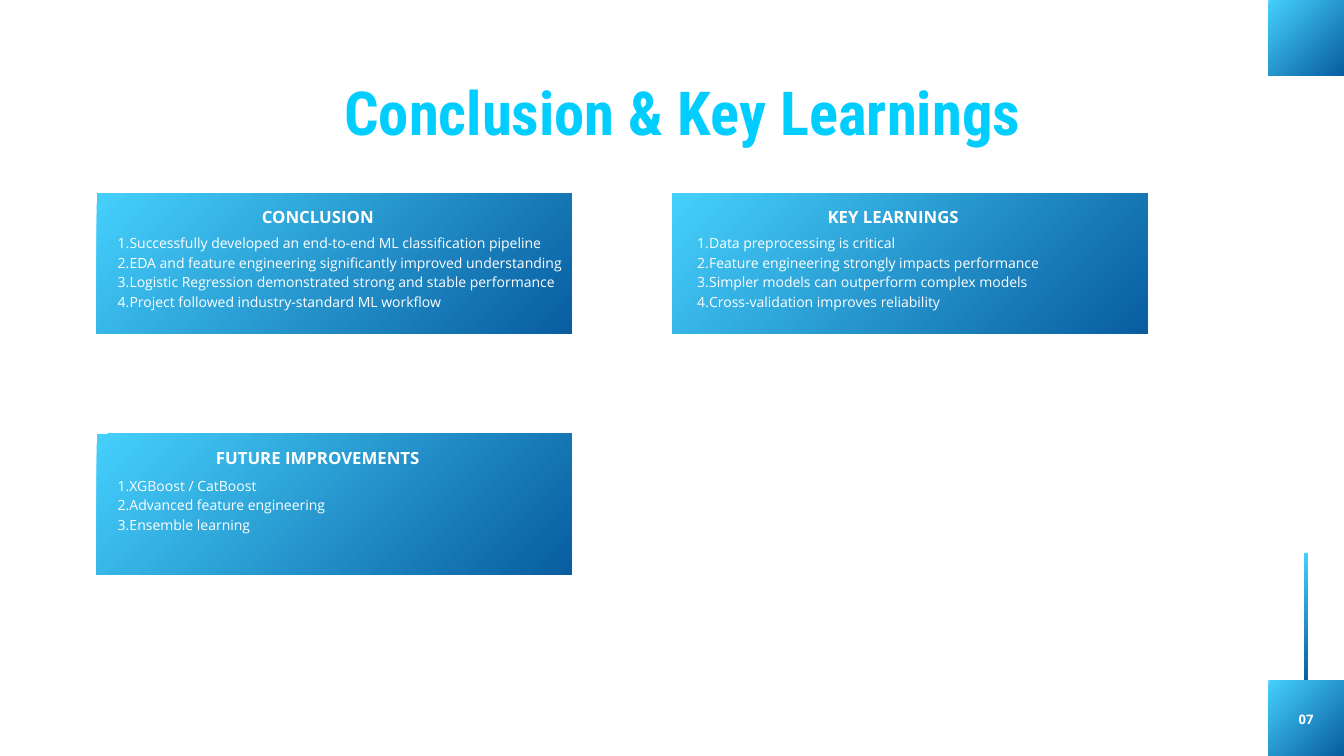
import pptx
import pptx.dml.color
import pptx.enum.shapes
import pptx.enum.text
import pptx.oxml.ns
import pptx.util
import lxml.etree

PX = 9525  # EMU per px, 96 px to the inch
COLORS = {"title": "02CDFF", "text": "FFFFFF", "light": "45D0FC", "dark": "085DA0"}
BODY, HEAD = "Open Sans", "Roboto Condensed"
ALIGN = pptx.enum.text.PP_ALIGN

# Card origin, heading, list inset (left, top, width), items
CARDS = [
    ((138, 276), "CONCLUSION", (13, 55, 653), [
        "Successfully developed an end-to-end ML classification pipeline",
        "EDA and feature engineering significantly improved understanding",
        "Logistic Regression demonstrated strong and stable performance",
        "Project followed industry-standard ML workflow",
    ]),
    ((960, 276), "KEY LEARNINGS", (19, 55, 506), [
        "Data preprocessing is critical",
        "Feature engineering strongly impacts performance",
        "Simpler models can outperform complex models",
        "Cross-validation improves reliability",
    ]),
    ((138, 620), "FUTURE IMPROVEMENTS", (13, 58, 314), [
        "XGBoost / CatBoost",
        "Advanced feature engineering",
        "Ensemble learning",
    ]),
]


def emu(*sizes):
    return [pptx.util.Emu(size * PX) for size in sizes]


def rgb(name):
    return pptx.dml.color.RGBColor.from_string(COLORS[name])


def panel(slide, *box):
    kind = pptx.enum.shapes.MSO_SHAPE.RECTANGLE
    shape = slide.shapes.add_shape(kind, *emu(*box))
    shape.shadow.inherit = False
    shape.line.fill.background()
    shape.fill.gradient()
    shape.fill.gradient_angle = 315
    for stop, name in zip(shape.fill.gradient_stops, ("light", "dark")):
        stop.color.rgb = rgb(name)


def number(para):
    props = para._p.get_or_add_pPr()
    left, hang = emu(34, -17)
    props.set("marL", str(left))
    props.set("indent", str(hang))
    tag = pptx.oxml.ns.qn("a:buAutoNum")
    lxml.etree.SubElement(props, tag, type="arabicPeriod")


def write(shape, lines, size, lead, color="text", face=BODY, bold=False,
          align=ALIGN.LEFT, listed=False):
    frame = shape.text_frame
    frame.word_wrap = True
    frame.auto_size = pptx.enum.text.MSO_AUTO_SIZE.NONE
    frame.vertical_anchor = pptx.enum.text.MSO_ANCHOR.TOP
    frame.margin_left = frame.margin_right = 0
    frame.margin_top = frame.margin_bottom = 0
    frame.text = "\n".join(lines)
    for para in frame.paragraphs:
        if listed:
            number(para)
        para.alignment = align
        para.line_spacing = pptx.util.Pt(lead)
        para.space_before = pptx.util.Pt(0)
        para.font.name = face
        para.font.size = pptx.util.Pt(size)
        para.font.bold = bold
        para.font.color.rgb = rgb(color)


def label(slide, box, lines, size, lead, **style):
    write(slide.shapes.add_textbox(*emu(*box)), lines, size, lead, **style)


def heading(slide, box):
    title = slide.shapes.title
    title.left, title.top, title.width, title.height = emu(*box)
    write(title, ["Conclusion & Key Learnings"], 65, 71.5,
          color="title", face=HEAD, bold=True)


def card(slide, box, name, inset, items):
    left, top, width, height = box
    panel(slide, *box)
    label(slide, (left + 126, top + 15, 380, 32), [name], 18, 25.2,
          bold=True, align=ALIGN.CENTER)
    dx, dy, wide = inset
    label(slide, (left + dx, top + dy, wide, height - dy), items, 15, 21,
          listed=True)


def edge(slide, box):
    left, top, side, height = box
    base = top + height - side
    panel(slide, left + 51, base - 182, 5, 183)  # bar above the page number
    panel(slide, left, top, side, side)
    panel(slide, left, base, side, side)
    label(slide, (left + 25, base + 40, 58, 25), ["07"], 14, 19.6,
          bold=True, align=ALIGN.CENTER)


def main():
    deck = pptx.Presentation()
    deck.slide_width, deck.slide_height = emu(1920, 1080)
    slide = deck.slides.add_slide(deck.slide_layouts[5])
    edge(slide, (1812, 0, 108, 1080))
    heading(slide, (492, 115, 972, 97))
    for spot, name, inset, items in CARDS:
        card(slide, (*spot, 679, 201), name, inset, items)
    deck.save("out.pptx")


if __name__ == "__main__":
    main()
